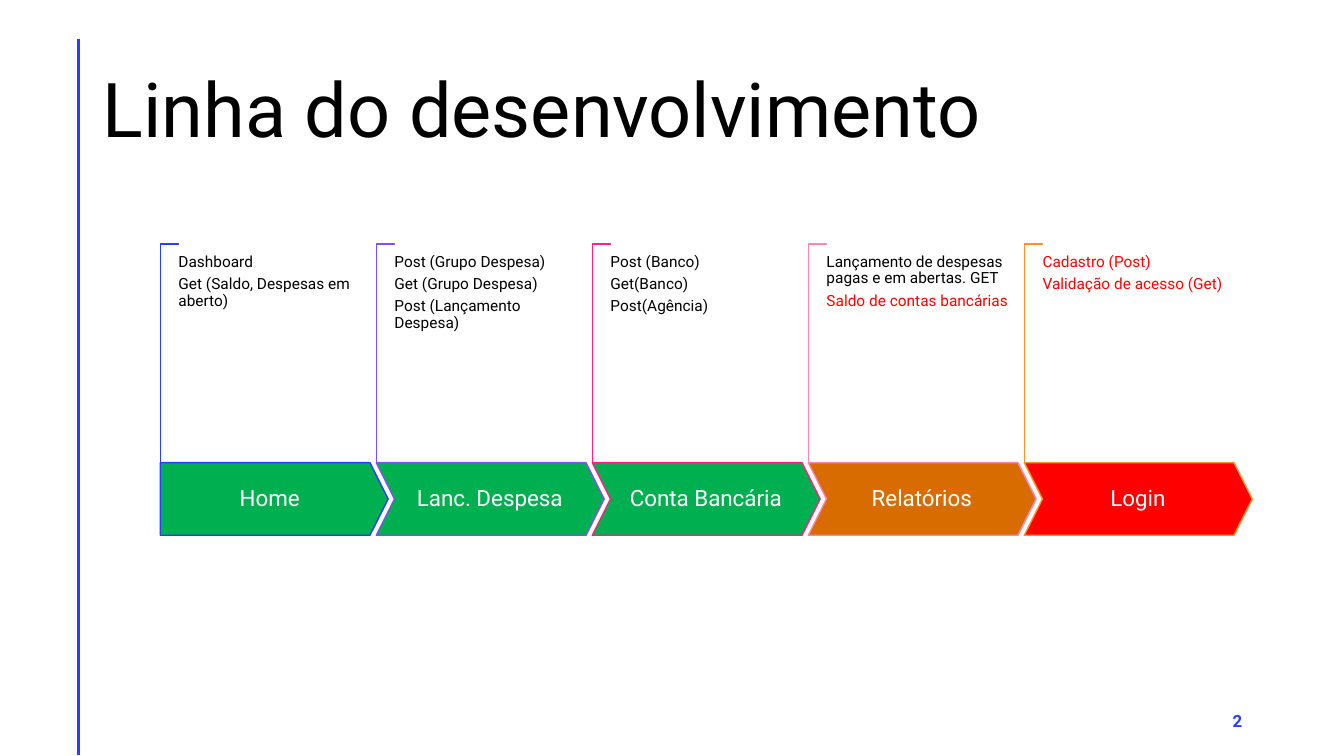
from lxml import etree
from pptx import Presentation
from pptx.dml.color import RGBColor
from pptx.enum.shapes import MSO_CONNECTOR, MSO_SHAPE
from pptx.enum.text import MSO_ANCHOR, PP_ALIGN
from pptx.oxml.ns import qn
from pptx.util import Inches, Pt

STRAIGHT = MSO_CONNECTOR.STRAIGHT
CORNER, PENTAGON, CHEVRON = MSO_SHAPE.CORNER, MSO_SHAPE.PENTAGON, MSO_SHAPE.CHEVRON
TOP, MIDDLE = MSO_ANCHOR.TOP, MSO_ANCHOR.MIDDLE
LEFT, CENTER, RIGHT = PP_ALIGN.LEFT, PP_ALIGN.CENTER, PP_ALIGN.RIGHT

FONT = "Roboto"
COLORS = {
    "white": "FFFFFF", "black": "000000", "blue": "243FFF", "violet": "814DFF",
    "magenta": "FF1F85", "pink": "FF83B6", "orange": "FF9022",
    "done": "00B050", "partial": "D96C00", "pending": "FF0000",
}

# Timeline geometry, in inches
FIRST_LEFT, LAST_LEFT = 1.59, 10.16
ARROW_TOP, ARROW_WIDTH, ARROW_HEIGHT = 4.59, 2.26, 0.72
BRACKET_HEIGHT, BRACKET_WIDTH = 2.17, 0.18

# Stage name, fill, outline, tasks with their colours
STAGES = [
    ("Home", "done", "blue",
     [("Dashboard", "black"), ("Get (Saldo, Despesas em aberto)", "black")]),
    ("Lanc. Despesa", "done", "violet",
     [("Post (Grupo Despesa)", "black"), ("Get (Grupo Despesa)", "black"),
      ("Post (Lançamento Despesa)", "black")]),
    ("Conta Bancária", "done", "magenta",
     [("Post (Banco)", "black"), ("Get(Banco)", "black"), ("Post(Agência)", "black")]),
    ("Relatórios", "partial", "pink",
     [("Lançamento de despesas pagas e em abertas. GET", "black"),
      ("Saldo de contas bancárias", "pending")]),
    ("Login", "pending", "orange",
     [("Cadastro (Post)", "pending"), ("Validação de acesso (Get)", "pending")]),
]
STEP = (LAST_LEFT - FIRST_LEFT) / (len(STAGES) - 1)


def rgb(name):
    return RGBColor.from_string(COLORS[name])


def add_text(page, area, lines, size, align=LEFT, anchor=MIDDLE,
             margins=(0.1, 0.05), spacing=0.9, after=0, bold=False):
    """Add a text box; lines holds (text, colour) pairs, one per paragraph."""
    box = page.shapes.add_textbox(*map(Inches, area))
    frame = box.text_frame
    frame.word_wrap = True
    frame.vertical_anchor = anchor
    frame.margin_left = frame.margin_right = Inches(margins[0])
    frame.margin_top = frame.margin_bottom = Inches(margins[1])
    frame.text = "\n".join(text for text, color in lines)
    for para, (text, color) in zip(frame.paragraphs, lines):
        para.alignment = align
        para.line_spacing = spacing
        para.space_after = Pt(after)
        font = para.runs[0].font
        font.name, font.size, font.bold = FONT, Pt(size), bold
        font.color.rgb = rgb(color)


def add_outlined(page, kind, area, fill, outline, adjustments):
    shape = page.shapes.add_shape(kind, *map(Inches, area))
    shape.shadow.inherit = False
    shape.fill.solid()
    shape.fill.fore_color.rgb = rgb(fill)
    shape.line.color.rgb = rgb(outline)
    shape.line.width = Pt(1)
    for index, value in enumerate(adjustments):
        shape.adjustments[index] = value
    return shape


def add_side_rule(page):
    rule = page.shapes.add_connector(
        STRAIGHT, Inches(0.78), Inches(0.39), Inches(0.78), Inches(7.49))
    rule.line.color.rgb = rgb("blue")
    rule.line.width = Pt(2)
    etree.SubElement(rule._element.spPr, qn("a:effectLst"))


def add_bracket(page, left, color):
    # The corner is laid out flat, then turned upright about its centre
    shift = (BRACKET_HEIGHT - BRACKET_WIDTH) / 2
    top = ARROW_TOP - BRACKET_HEIGHT + shift
    area = (left - shift, top, BRACKET_HEIGHT, BRACKET_WIDTH)
    bracket = add_outlined(page, CORNER, area, "white", color, (0.01, 0.01))
    bracket.rotation = 90


def add_stage(page, index, name, fill, outline, tasks):
    left = FIRST_LEFT + index * STEP
    inner = left + BRACKET_WIDTH
    add_bracket(page, left, outline)

    # Arrow and its label
    kind = CHEVRON if index else PENTAGON
    add_outlined(page, kind, (left, ARROW_TOP, ARROW_WIDTH, ARROW_HEIGHT),
                 fill, outline, (0.25,))
    label_left, label_width = (inner, 1.89) if index else (left, 2.17)
    add_text(page, (label_left, ARROW_TOP, label_width, ARROW_HEIGHT),
             [(name, "white")], 16, CENTER, margins=(0.11, 0.22))

    # Tasks above the arrow
    add_text(page, (inner, 2.52, 1.83, 1.55), tasks, 11, anchor=TOP,
             margins=(0, 0), after=3.85)


def main():
    deck = Presentation()
    deck.slide_width, deck.slide_height = Inches(13.33), Inches(7.5)
    page = deck.slides.add_slide(deck.slide_layouts[6])

    # Frame: side rule, title and page number
    add_side_rule(page)
    add_text(page, (0.92, 0.4, 11.5, 1.45), [("Linha do desenvolvimento", "black")], 54)
    add_text(page, (9.42, 6.95, 3, 0.4), [("2", "blue")], 12, RIGHT,
             spacing=1.0, after=6, bold=True)

    # Timeline
    for index, stage in enumerate(STAGES):
        add_stage(page, index, *stage)

    deck.save("out.pptx")


main()
